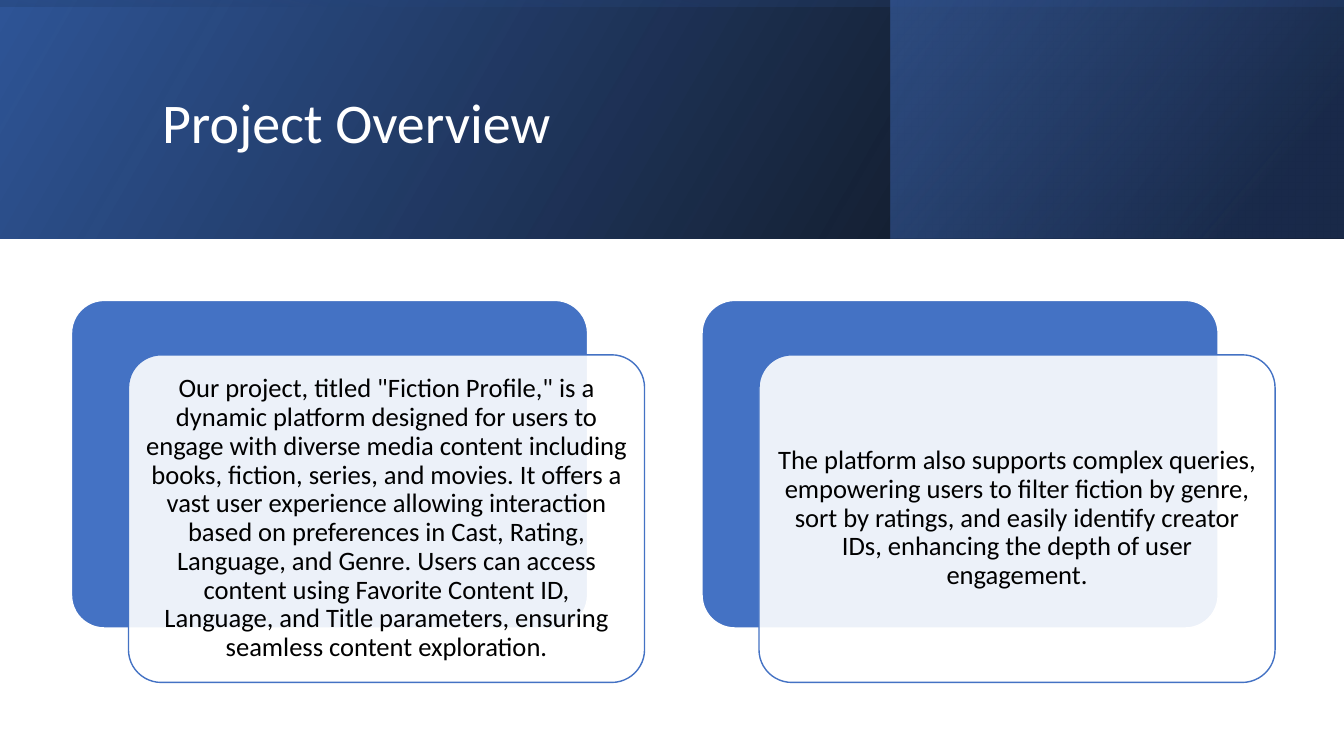
"""Build the Project Overview slide: a shaded banner above two layered cards."""
from dataclasses import dataclass

from lxml import etree
from pptx import Presentation
from pptx.dml.color import RGBColor
from pptx.enum.shapes import MSO_SHAPE
from pptx.enum.text import MSO_ANCHOR, PP_ALIGN
from pptx.oxml.ns import qn
from pptx.shapes.autoshape import Shape
from pptx.slide import Slide
from pptx.util import Inches, Pt

RECT = MSO_SHAPE.RECTANGLE
ROUND = MSO_SHAPE.ROUNDED_RECTANGLE
MIDDLE = MSO_ANCHOR.MIDDLE
LEFT, CENTER = PP_ALIGN.LEFT, PP_ALIGN.CENTER

WIDTH, HEIGHT = Inches(13.333), Inches(7.5)
COLS, ROWS = 80, 45
FONT = "Calibri"
COLORS = {
    "white": "FFFFFF",
    "black": "000000",
    "blue": "4472C4",
    "deep": "2F5597",
    "navy": "203864",
}


@dataclass(frozen=True)
class Box:
    """A frame in grid columns and rows."""
    col: float
    row: float
    wide: float
    high: float

    def shift(self, right: float, down: float) -> "Box":
        """Return the same frame moved on the grid."""
        return Box(self.col + right, self.row + down, self.wide, self.high)

    def inset(self, gap: float) -> "Box":
        """Return the frame shrunk by a gap on every side."""
        return Box(self.col + gap, self.row + gap,
                   self.wide - 2 * gap, self.high - 2 * gap)

    def frame(self) -> tuple[int, int, int, int]:
        """Return left, top, width and height as slide lengths."""
        return (round(self.col * WIDTH / COLS), round(self.row * HEIGHT / ROWS),
                round(self.wide * WIDTH / COLS), round(self.high * HEIGHT / ROWS))


@dataclass(frozen=True)
class Stop:
    """A gradient stop with its place and opacity as shares of one."""
    place: float
    color: str
    alpha: float


@dataclass(frozen=True)
class Shade:
    """A mirrored gradient layer of the banner."""
    box: Box
    angle: float
    stops: tuple[Stop, Stop]
    turn: float = 0


@dataclass(frozen=True)
class Style:
    """The look of a text block."""
    size: float
    color: str
    align: PP_ALIGN
    pad: tuple[float, float]


BAND = 14.22
SIDE = (COLS - BAND) / 2
SPLIT = 53.04
SHADES = (
    Shade(Box(0, 0, COLS, BAND), 30,
          (Stop(0, "black", 0.96), Stop(1, "deep", 1))),
    Shade(Box(SPLIT, 0, COLS - SPLIT, BAND), 40,
          (Stop(0.19, "navy", 0.68), Stop(1, "blue", 0.48))),
    Shade(Box(SIDE, -SIDE, BAND, COLS), 10,
          (Stop(0.23, "deep", 0.16), Stop(0.99, "black", 0.45)), 270),
)
HEAD = Box(9.06, 2.28, 63.78, 10.32)
CARD = Box(4.26, 17.88, 30.72, 19.5)
PITCH = 37.53
STEP = (3.39, 3.24)
GAP = 0.57
TITLE = Style(40, "white", LEFT, (0.1, 0.05))
BODY = Style(19, "black", CENTER, (0.08, 0.08))
TEXTS = (
    'Our project, titled "Fiction Profile," is a dynamic platform designed for '
    "users to engage with diverse media content including books, fiction, series, "
    "and movies. It offers a vast user experience allowing interaction based on "
    "preferences in Cast, Rating, Language, and Genre. Users can access content "
    "using Favorite Content ID, Language, and Title parameters, ensuring seamless "
    "content exploration.",
    "The platform also supports complex queries, empowering users to filter "
    "fiction by genre, sort by ratings, and easily identify creator IDs, "
    "enhancing the depth of user engagement.",
)


def tint(name: str) -> RGBColor:
    """Look up a named colour."""
    return RGBColor.from_string(COLORS[name])


def fade(shape: Shape, alphas: list[float]) -> None:
    """Set the opacity of each fill colour in turn."""
    for node, alpha in zip(shape.element.spPr.iter(qn("a:srgbClr")), alphas):
        etree.SubElement(node, qn("a:alpha"), val=str(round(alpha * 100000)))


def add_shade(slide: Slide, shade: Shade) -> None:
    """Draw one gradient layer."""
    shape = slide.shapes.add_shape(RECT, *shade.box.frame())
    shape.shadow.inherit = False
    shape.line.fill.background()
    shape.rotation = shade.turn
    shape.element.spPr.xfrm.set("flipH", "1")
    shape.fill.gradient()
    shape.fill.gradient_angle = shade.angle
    for mark, stop in zip(shape.fill.gradient_stops, shade.stops):
        mark.position = stop.place
        mark.color.rgb = tint(stop.color)
    fade(shape, [stop.alpha for stop in shade.stops])


def add_panel(slide: Slide, box: Box, fill: str, line: str, alpha: float) -> None:
    """Draw one rounded panel."""
    shape = slide.shapes.add_shape(ROUND, *box.frame())
    shape.shadow.inherit = False
    shape.adjustments[0] = 0.1
    shape.fill.solid()
    shape.fill.fore_color.rgb = tint(fill)
    fade(shape, [alpha])
    shape.line.color.rgb = tint(line)
    shape.line.width = Pt(1)


def add_text(slide: Slide, box: Box, text: str, style: Style) -> None:
    """Write one block of text, centred in height."""
    frame = slide.shapes.add_textbox(*box.frame()).text_frame
    frame.word_wrap = True
    frame.vertical_anchor = MIDDLE
    frame.margin_left = frame.margin_right = Inches(style.pad[0])
    frame.margin_top = frame.margin_bottom = Inches(style.pad[1])
    frame.text = text
    para = frame.paragraphs[0]
    para.alignment = style.align
    para.line_spacing = 0.9
    font = para.runs[0].font
    font.name = FONT
    font.size = Pt(style.size)
    font.color.rgb = tint(style.color)


def add_card(slide: Slide, box: Box, text: str) -> None:
    """Draw a blue panel with a pale text panel stepped over it."""
    front = box.shift(*STEP)
    add_panel(slide, box, "blue", "white", 1)
    add_panel(slide, front, "white", "blue", 0.9)
    add_text(slide, front.inset(GAP), text, BODY)


def main() -> None:
    """Build and save the deck."""
    deck = Presentation()
    deck.slide_width, deck.slide_height = WIDTH, HEIGHT
    slide = deck.slides.add_slide(deck.slide_layouts[6])
    for shade in SHADES:
        add_shade(slide, shade)
    add_text(slide, HEAD, "Project Overview", TITLE)
    for i, text in enumerate(TEXTS):
        add_card(slide, CARD.shift(i * PITCH, 0), text)
    deck.save("out.pptx")


if __name__ == "__main__":
    main()
